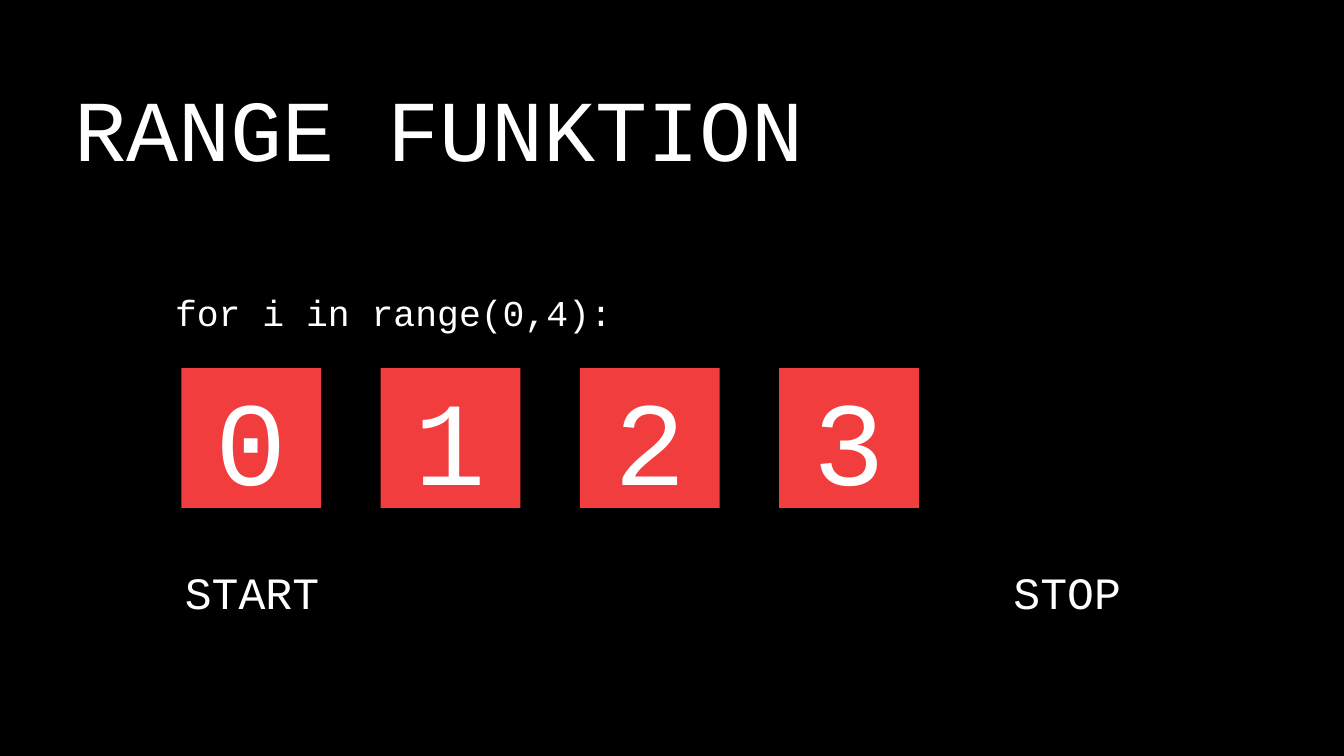
from dataclasses import dataclass

from pptx import Presentation
from pptx.dml.color import RGBColor
from pptx.enum.shapes import MSO_SHAPE
from pptx.enum.text import PP_ALIGN
from pptx.util import Cm, Pt

RECTANGLE = MSO_SHAPE.RECTANGLE
CENTER = PP_ALIGN.CENTER
RIGHT = PP_ALIGN.RIGHT


@dataclass(frozen=True)
class Theme:
    """Colours, font and (size, line spacing) pairs in points."""
    background: RGBColor = RGBColor(0x00, 0x00, 0x00)
    text: RGBColor = RGBColor(0xFF, 0xFF, 0xFF)
    tile: RGBColor = RGBColor(0xF1, 0x3D, 0x3D)
    font: str = "Courier New"
    title: tuple = (93, 111.6)
    label: tuple = (48, 72)
    code: tuple = (39, 58.5)
    digit: tuple = (127.6, 153.1)


THEME = Theme()


def add_text(page, box, text, style, align):
    """Place one line of text in a box given in centimetres."""
    size, spacing = style
    frame = page.shapes.add_textbox(*map(Cm, box)).text_frame
    frame.word_wrap = True
    frame.margin_left = frame.margin_right = 0
    frame.margin_top = frame.margin_bottom = 0
    para = frame.paragraphs[0]
    para.alignment = align
    para.line_spacing = Pt(spacing)
    span = para.add_run()
    span.text = text
    span.font.name = THEME.font
    span.font.size = Pt(size)
    span.font.color.rgb = THEME.text


def add_tile(page, box, digit):
    """Draw a square with its digit centred on it."""
    left, top, width, height = box
    square = page.shapes.add_shape(RECTANGLE, *map(Cm, box))
    square.shadow.inherit = False
    square.fill.solid()
    square.fill.fore_color.rgb = THEME.tile
    square.line.fill.background()
    digit_width = 2.74
    digit_left = left + (width - digit_width) / 2
    digit_box = (digit_left, top - 0.06, digit_width, height)
    add_text(page, digit_box, digit, THEME.digit, CENTER)


def add_tile_row(page, box, digits):
    """Spread square tiles evenly from edge to edge of the box."""
    left, top, width, side = box
    pitch = (width - side) / (len(digits) - 1)
    for index, digit in enumerate(digits):
        add_tile(page, (left + index * pitch, top, side, side), digit)


def add_range_labels(page, box):
    """Name the start and stop ends below the tiles."""
    left, top, width, height = box
    label_width = 19.05
    stop_left = left + width - label_width
    add_text(page, (left, top, label_width, height), "START", THEME.label, CENTER)
    add_text(page, (stop_left, top + 0.03, label_width, height), "STOP", THEME.label, RIGHT)


def build_range_slide(deck):
    """Add the slide that explains the range function."""
    page = deck.slides.add_slide(deck.slide_layouts[6])
    page.background.fill.solid()
    page.background.fill.fore_color.rgb = THEME.background
    add_text(page, (2.54, 2.84, 28.12, 3.91), "RANGE FUNKTION", THEME.title, CENTER)
    add_text(page, (4.9, 10.54, 18.23, 1.85), "for i in range(0,4):", THEME.code, RIGHT)
    add_tile_row(page, (6.86, 13.92, 27.87, 5.28), "0123")
    add_range_labels(page, (0, 20.83, 42.37, 2.34))


def main():
    """Build and save the deck."""
    deck = Presentation()
    deck.slide_width = Cm(50.8)
    deck.slide_height = Cm(28.58)
    build_range_slide(deck)
    deck.save("out.pptx")


if __name__ == "__main__":
    main()
